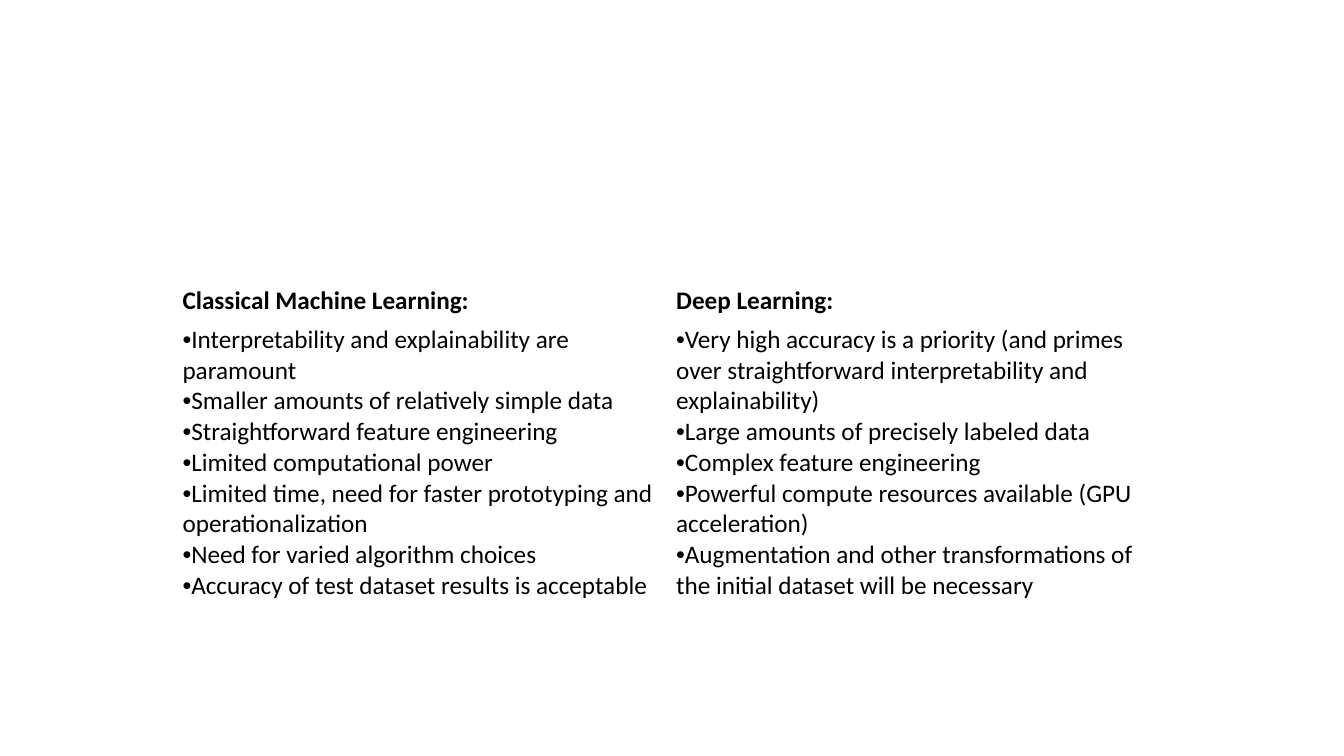
from dataclasses import dataclass

from pptx import Presentation
from pptx.dml.color import RGBColor as Rgb
from pptx.enum.text import MSO_ANCHOR as Anchor
from pptx.oxml.ns import qn
from pptx.util import Cm, Pt


@dataclass(frozen=True)
class Theme:
    font: str = "Calibri"
    bullet_font: str = "Arial"
    size: float = 18
    ink: str = "000000"
    cell_margin: float = 0.1


# Content: each approach with the reasons to choose it
APPROACHES = {
    "Classical Machine Learning:": [
        "Interpretability and explainability are paramount",
        "Smaller amounts of relatively simple data",
        "Straightforward feature engineering",
        "Limited computational power",
        "Limited time, need for faster prototyping and operationalization",
        "Need for varied algorithm choices",
        "Accuracy of test dataset results is acceptable",
    ],
    "Deep Learning:": [
        "Very high accuracy is a priority (and primes over straightforward "
        "interpretability and explainability)",
        "Large amounts of precisely labeled data",
        "Complex feature engineering",
        "Powerful compute resources available (GPU acceleration)",
        "Augmentation and other transformations of the initial dataset "
        "will be necessary",
    ],
}


class SlideBuilder:
    def __init__(self, slide, theme):
        self.slide = slide
        self.theme = theme

    def table(self, left, top, col_widths, row_heights):
        """Add a plain table without banding or a styled header."""
        grid = self.slide.shapes.add_table(
            len(row_heights), len(col_widths), Cm(left), Cm(top),
            Cm(sum(col_widths)), Cm(sum(row_heights))).table
        for option in ("first_row", "horz_banding"):
            setattr(grid, option, False)
        for column, width in zip(grid.columns, col_widths):
            column.width = Cm(width)
        for row, height in zip(grid.rows, row_heights):
            row.height = Cm(height)
        return grid

    def cell(self, cell, lines, bold=False, bulleted=False):
        """Fill one cell with a paragraph for each line."""
        cell.fill.background()
        margin = Cm(self.theme.cell_margin)
        layout = {"vertical_anchor": Anchor.MIDDLE,
                  "margin_left": margin, "margin_right": margin,
                  "margin_top": margin, "margin_bottom": margin}
        for name, value in layout.items():
            setattr(cell, name, value)
        frame = cell.text_frame
        for index, line in enumerate(lines):
            paragraph = frame.add_paragraph() if index else frame.paragraphs[0]
            if bulleted:
                self.bullet(paragraph)
            run = paragraph.add_run()
            run.text = line
            self.style(run.font, bold)

    def bullet(self, paragraph):
        """Put a bullet directly before the text, with no hanging indent."""
        props = paragraph._p.get_or_add_pPr()
        for name in ("marL", "indent"):
            props.set(name, "0")
        parts = {"a:buFont": {"typeface": self.theme.bullet_font},
                 "a:buChar": {"char": "•"}}
        for tag, attributes in parts.items():
            props.append(props.makeelement(qn(tag), attributes))

    def style(self, font, bold):
        values = {"name": self.theme.font, "size": Pt(self.theme.size),
                  "bold": bold}
        for name, value in values.items():
            setattr(font, name, value)
        font.color.rgb = Rgb.from_string(self.theme.ink)


def main():
    deck = Presentation()
    deck.slide_width, deck.slide_height = Cm(33.87), Cm(19.05)
    builder = SlideBuilder(deck.slides.add_slide(deck.slide_layouts[6]), Theme())

    # Comparison table: headings above, reasons below
    comparison = builder.table(4.5, 7.09, [12.44] * 2, [0.98, 7.07])
    for col, (approach, reasons) in enumerate(APPROACHES.items()):
        builder.cell(comparison.cell(0, col), [approach], bold=True)
        builder.cell(comparison.cell(1, col), reasons, bulleted=True)

    deck.save("out.pptx")


if __name__ == "__main__":
    main()
